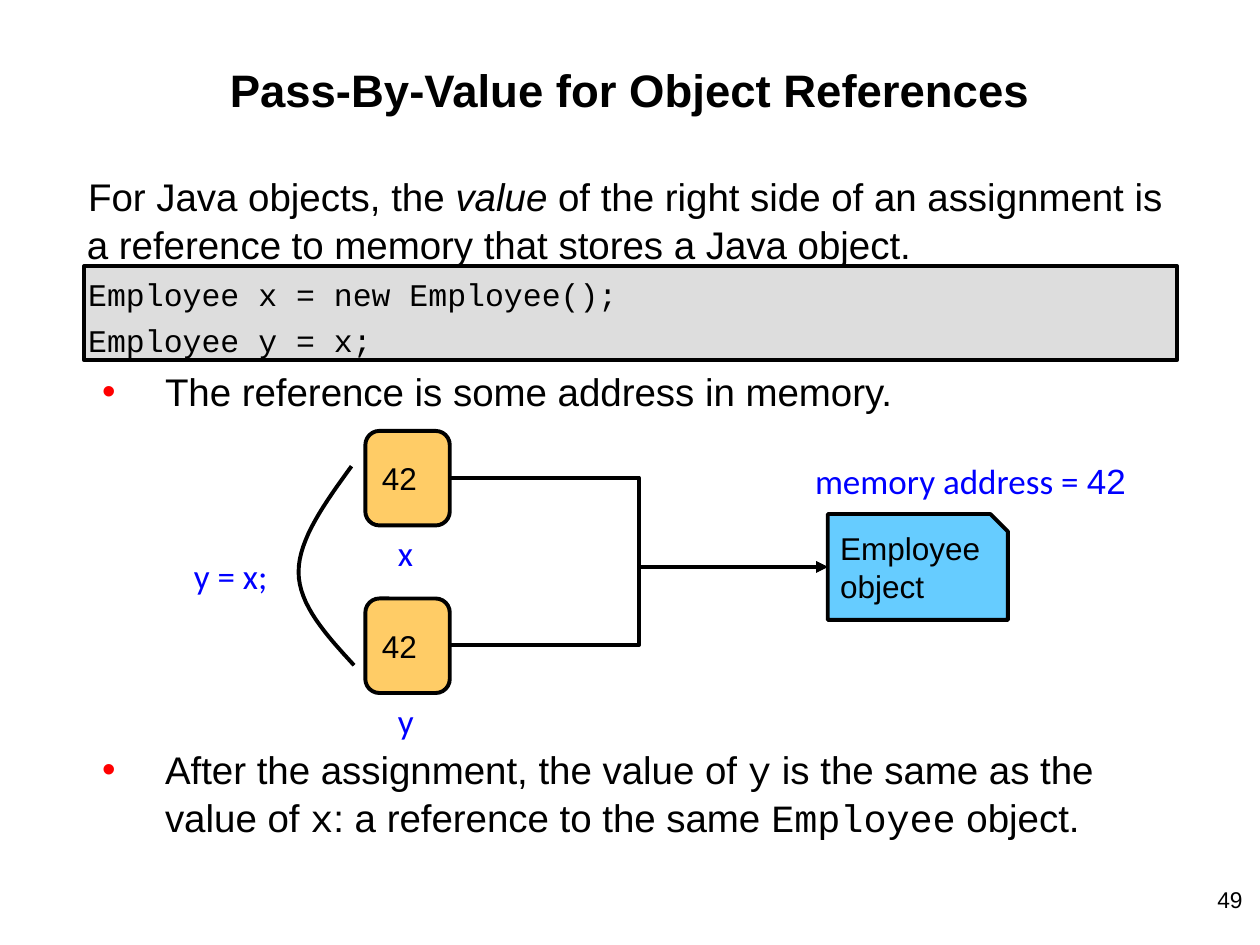
from lxml import etree
from pptx import Presentation
from pptx.dml.color import RGBColor
from pptx.enum import shapes, text
from pptx.oxml.ns import qn
from pptx.util import Inches, Pt

BLACK = RGBColor(0x00, 0x00, 0x00)
BLUE = RGBColor(0x00, 0x00, 0xFF)
GRAY = RGBColor(0xDD, 0xDD, 0xDD)
ORANGE = RGBColor(0xFF, 0xCC, 0x66)
SKY = RGBColor(0x66, 0xCC, 0xFF)
RED = RGBColor(0xFF, 0x00, 0x00)
MONO = {"name": "Courier New"}


def write(paragraph, runs, **base):
    """Add (text, format) runs, each format laid over the base format."""
    for words, changes in runs:
        run = paragraph.add_run()
        run.text = words
        style = {"name": "Arial", "color": BLACK, **base, **changes}
        run.font.color.rgb = style.pop("color")
        for attribute, value in style.items():
            setattr(run.font, attribute, value)


def outline(shape, fill=None):
    shape.shadow.inherit = False
    shape.line.color.rgb = BLACK
    shape.line.width = Pt(2.25)
    if fill is None:
        shape.fill.background()
    else:
        shape.fill.solid()
        shape.fill.fore_color.rgb = fill


presentation = Presentation()
presentation.slide_width, presentation.slide_height = Inches(10), Inches(7.5)
slide = presentation.slides.add_slide(presentation.slide_layouts[1])
canvas = slide.shapes

# Code background, placed behind the placeholders
code_box = canvas.add_shape(shapes.MSO_SHAPE.RECTANGLE, Inches(0.67), Inches(2.11),
                            Inches(8.67), Inches(0.75))
outline(code_box, GRAY)
canvas.title.element.addprevious(code_box.element)

# Title and body placeholders
title, body = canvas.title, slide.placeholders[1]
for holder, top, height in ((title, 0.48, 0.96), (body, 1.35, 1.91)):
    holder.left, holder.top = Inches(0.67), Inches(top)
    holder.width, holder.height = Inches(8.66), Inches(height)
    frame_format = {"auto_size": text.MSO_AUTO_SIZE.NONE, "word_wrap": True,
                    "vertical_anchor": text.MSO_ANCHOR.TOP}
    for side in ("left", "top", "right", "bottom"):
        frame_format[f"margin_{side}"] = Inches(0.01)
    for attribute, value in frame_format.items():
        setattr(holder.text_frame, attribute, value)

heading = title.text_frame.paragraphs[0]
heading.alignment = text.PP_ALIGN.CENTER
write(heading, [("Pass-By-Value for Object References", {})], size=Pt(26), bold=True)

# Level, space before, size, runs; the last gap leaves room for the diagram
body_rows = [
    (0, 0, 22, [("For Java objects, the ", {}), ("value", {"italic": True}),
                (" of the right side of an assignment is a reference to memory "
                 "that stores a Java object.", {})]),
    (0, 3.6, 18, [("Employee x = new Employee();", MONO)]),
    (0, 3.6, 18, [("Employee y = x;", MONO)]),
    (1, 4.4, 22, [("The reference is some address in memory.", {})]),
    (1, 188.7, 22, [("After the assignment, the value of ", {}), ("y", MONO),
                    (" is the same as the value of ", {}), ("x", MONO),
                    (": a reference to the same ", {}), ("Employee", MONO),
                    (" object.", {})]),
]
for index, (level, gap, size, runs) in enumerate(body_rows):
    frame = body.text_frame
    paragraph = frame.add_paragraph() if index else frame.paragraphs[0]
    paragraph.level = level
    properties = paragraph._p.get_or_add_pPr()
    left, indent = (0.63, -0.5) if level else (0.01, 0.01)
    properties.set("marL", str(Inches(left)))
    properties.set("indent", str(Inches(indent)))
    if level:
        bullet_color = etree.SubElement(properties, qn("a:buClr"))
        etree.SubElement(bullet_color, qn("a:srgbClr"), val=str(RED))
        etree.SubElement(properties, qn("a:buFont"), typeface="Arial")
        etree.SubElement(properties, qn("a:buChar"), char="•")
    else:
        etree.SubElement(properties, qn("a:buNone"))
    paragraph.alignment = text.PP_ALIGN.LEFT
    paragraph.line_spacing = 1.04
    paragraph.space_before = Pt(gap)
    write(paragraph, runs, size=Pt(size))

# Variables x and y, both holding the address
variables = []
for top in (3.42, 4.75):
    variable = canvas.add_shape(shapes.MSO_SHAPE.ROUNDED_RECTANGLE, Inches(2.9),
                                Inches(top), Inches(0.67), Inches(0.75))
    outline(variable, ORANGE)
    variables.append((variable, ["42"]))

# Employee object with a cut corner
builder = canvas.build_freeform(Inches(6.57), Inches(4.08))
corners = [(7.86, 4.08), (8, 4.22), (8, 4.92), (6.57, 4.92)]
builder.add_line_segments([(Inches(x), Inches(y)) for x, y in corners], close=True)
employee = builder.convert_to_shape()
outline(employee, SKY)

for shape, lines in variables + [(employee, ["Employee", "object"])]:
    shape.text_frame.vertical_anchor = text.MSO_ANCHOR.MIDDLE
    paragraph = shape.text_frame.paragraphs[0]
    paragraph.alignment = text.PP_ALIGN.LEFT
    for number, line in enumerate(lines):
        if number:
            paragraph.add_line_break()
        write(paragraph, [(line, {})], size=Pt(18))

# Blue labels
labels = [
    (3.06, 4.17, 0.35, [("x", {})]),
    (3.06, 5.5, 0.35, [("y", {})]),
    (6.37, 3.6, 2.78, [("memory address = ", {}), ("42", {"name": "Arial"})]),
    (1.44, 4.35, 0.85, [("y = x;", {})]),
]
for left, top, width, runs in labels:
    label = canvas.add_textbox(Inches(left), Inches(top), Inches(width), Inches(0.44))
    label.text_frame.word_wrap = False
    write(label.text_frame.paragraphs[0], runs, name="Calibri", size=Pt(20), color=BLUE)

# Arrows from both variables to the object
for start_y in (5.12, 3.79):
    arrow = canvas.add_connector(shapes.MSO_CONNECTOR.ELBOW, Inches(3.57),
                                 Inches(start_y), Inches(6.57), Inches(4.5))
    arrow.line.color.rgb = BLACK
    arrow.line.width = Pt(2.25)
    etree.SubElement(arrow.line._get_or_add_ln(), qn("a:tailEnd"), type="triangle")
    etree.SubElement(arrow.element.spPr, qn("a:effectLst"))

# Assignment curve: two cubic Bezier arcs drawn as short segments
arcs = [
    [(2.79, 3.7), (2.58, 3.99), (2.37, 4.28), (2.37, 4.54)],
    [(2.37, 4.54), (2.37, 4.8), (2.59, 5.04), (2.81, 5.28)],
]
STEPS = 16
curve_points = []
for arc in arcs:
    for step in range(1, STEPS + 1):
        t = step / STEPS
        weights = ((1 - t) ** 3, 3 * t * (1 - t) ** 2, 3 * t ** 2 * (1 - t), t ** 3)
        curve_points.append(tuple(
            Inches(sum(w * point[axis] for w, point in zip(weights, arc)))
            for axis in (0, 1)))
builder = canvas.build_freeform(Inches(2.79), Inches(3.7))
builder.add_line_segments(curve_points, close=False)
outline(builder.convert_to_shape())

# Slide number
number_box = canvas.add_textbox(Inches(9.36), Inches(6.93), Inches(0.6), Inches(0.57))
number_box.text_frame.word_wrap = True
number_box.text_frame.margin_top = number_box.text_frame.margin_bottom = Inches(0.1)
paragraph = number_box.text_frame.paragraphs[0]
paragraph.alignment = text.PP_ALIGN.RIGHT
write(paragraph, [("49", {})], size=Pt(13))

presentation.save("out.pptx")
